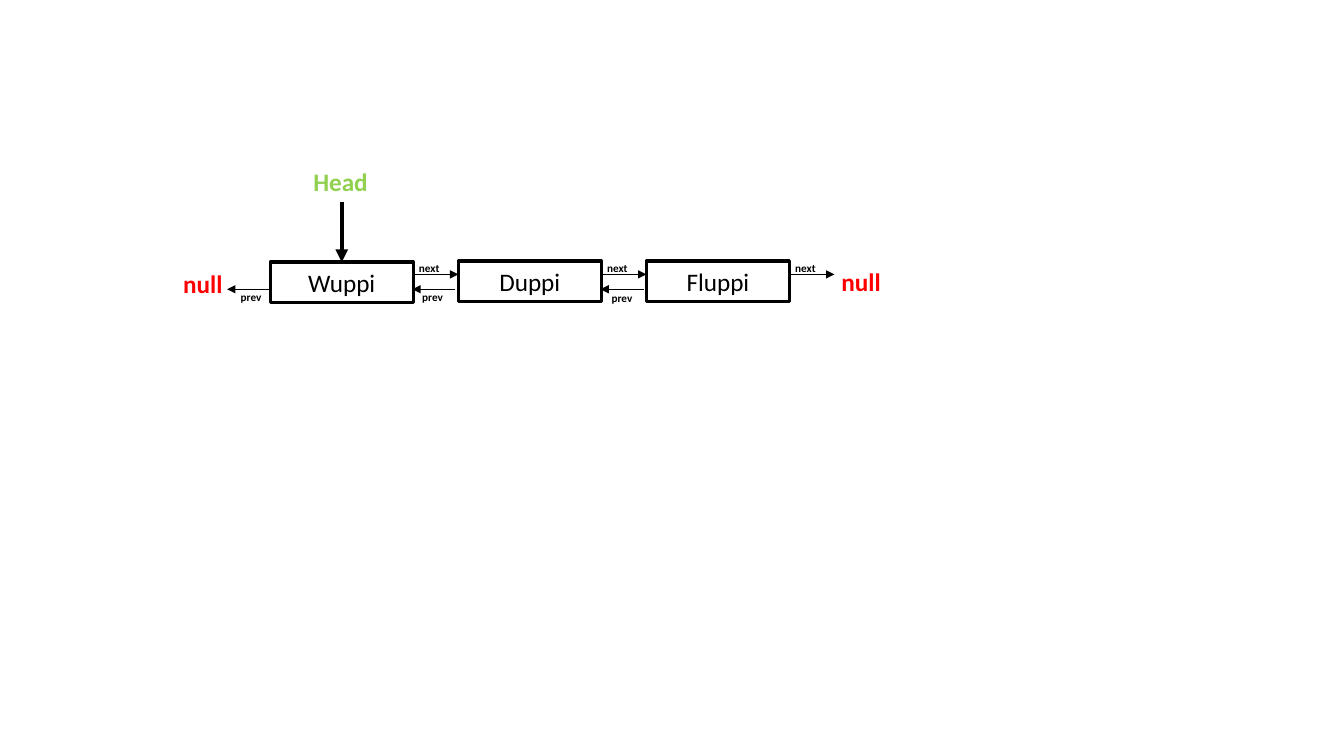
import pptx
import pptx.util
import pptx.dml.color
import pptx.enum.shapes
import pptx.enum.text
import lxml.etree
import pptx.oxml.ns

Pt = pptx.util.Pt
qn = pptx.oxml.ns.qn
HUES = {"ink": "000000", "paper": "FFFFFF", "null": "FF0000", "head": "92D050"}


def write(shape, text, size, hue, bold=False):
    """Put one formatted run into a shape."""
    shape.text_frame.word_wrap = True
    run = shape.text_frame.paragraphs[0].add_run()
    run.text = text
    run.font.name = "Calibri"
    run.font.size = Pt(size)
    run.font.bold = bold
    run.font.color.rgb = pptx.dml.color.RGBColor.from_string(HUES[hue])


def arrow(x1, y1, x2, y2, width):
    """Draw a black line with a triangle at its end."""
    link = slide.shapes.add_connector(
        pptx.enum.shapes.MSO_CONNECTOR.STRAIGHT, Pt(x1), Pt(y1), Pt(x2), Pt(y2))
    link.line.width = Pt(width)
    link.line.color.rgb = pptx.dml.color.RGBColor.from_string(HUES["ink"])
    lxml.etree.SubElement(link.line._get_or_add_ln(), qn("a:tailEnd"), type="triangle")
    lxml.etree.SubElement(link._element.spPr, qn("a:effectLst"))


deck = pptx.Presentation()
deck.slide_width = Pt(960)
deck.slide_height = Pt(540)
slide = deck.slides.add_slide(deck.slide_layouts[6])

# Nodes: name, top, left of the prev label, top of the prev label
nodes = [("Wuppi", 187.2, 164.9, 203.8),
         ("Duppi", 186.5, 294.5, 203.8),
         ("Fluppi", 186.5, 429.8, 204.5)]
first, pitch, wide, high = 193, 134.35, 102.2, 28.8
labels = [("null", 123.8, 187.9, 55.4, high, 18, "null"),
          ("Head", 216.7, 115.2, 55.4, high, 18, "head"),
          ("null", 594, 186.5, 55.4, high, 18, "null")]

# Head pointer
arrow(244.1, 144, 244.1, 187.2, 3)

# Boxes with their next and prev arrows
for i, (name, top, back, low) in enumerate(nodes):
    left = first + i * pitch
    box = slide.shapes.add_shape(
        pptx.enum.shapes.MSO_SHAPE.RECTANGLE, Pt(left), Pt(top), Pt(wide), Pt(high))
    box.shadow.inherit = False
    box.fill.solid()
    box.fill.fore_color.rgb = pptx.dml.color.RGBColor.from_string(HUES["paper"])
    box.line.color.rgb = pptx.dml.color.RGBColor.from_string(HUES["ink"])
    box.line.width = Pt(2.25)
    box.text_frame.vertical_anchor = pptx.enum.text.MSO_ANCHOR.MIDDLE
    box.text_frame.paragraphs[0].alignment = pptx.enum.text.PP_ALIGN.CENTER
    write(box, name, 18, "ink")

    arrow(left + wide, 196, left + pitch, 196, 0.5)
    start = left - 2 if i else left
    arrow(start, 206.6, start - 30.8, 206.6, 0.5)
    labels += [("next", left + 99.2, 182.9, 31, 17.3, 8, "ink"),
               ("prev", back, low, 31, 17.3, 8, "ink")]

# Labels
for text, x, y, w, h, size, hue in labels:
    label = slide.shapes.add_textbox(Pt(x), Pt(y), Pt(w), Pt(h))
    write(label, text, size, hue, True)

deck.save("out.pptx")
